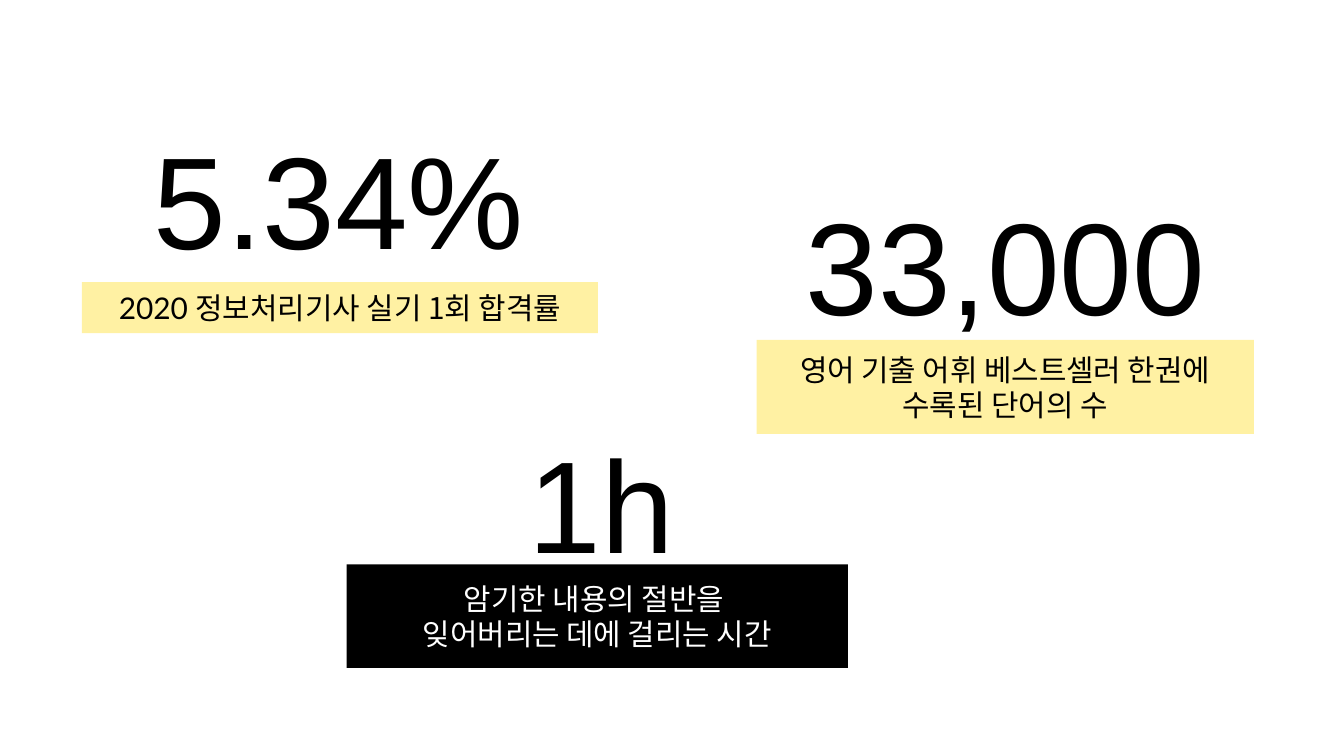
from lxml.etree import SubElement
from pptx import Presentation
from pptx.dml.color import RGBColor
from pptx.enum.shapes import MSO_SHAPE as Shape
from pptx.enum.text import MSO_ANCHOR as Anchor, PP_ALIGN as Align
from pptx.oxml.ns import qn
from pptx.util import Inches, Pt

COLORS = {"ink": "000000", "paper": "FFFFFF", "highlight": "FFF1A3"}
LATIN, DIGITS, KOREAN = "Arial", "Lato", "Noto Sans CJK KR"
FIGURE_SIZE, CAPTION_SIZE = 70, 16
FIGURE_HEIGHT = 1.06
FRAME = {"word_wrap": True, "vertical_anchor": Anchor.MIDDLE}
FRAME.update({f"margin_{side}": Inches(0.1) for side in ("left", "top", "right", "bottom")})

# Each caption line is a list of (text, font) pieces.
STATISTICS = [
    {"figure": "5.34%", "figure_at": (0.78, 0.94, 3.48),
     "caption": [[("2020 ", DIGITS), ("정보처리기사 실기 1회 합격률", KOREAN)]],
     "caption_at": (0.61, 2.1, 3.84, 0.38), "fill": "highlight", "text": "ink"},
    {"figure": "33,000", "figure_at": (5.74, 1.43, 3.48),
     "caption": [[("영어 기출 어휘 베스트셀러 한권에 수록된 단어의 수", KOREAN)]],
     "caption_at": (5.63, 2.53, 3.7, 0.7), "fill": "highlight", "text": "ink"},
    {"figure": "1h", "figure_at": (3.26, 3.2, 2.43),
     "caption": [[("암기한 내용의 절반을 ", KOREAN)], [("잊어버리는 데에 걸리는 시간", KOREAN)]],
     "caption_at": (2.58, 4.2, 3.73, 0.77), "fill": "ink", "text": "paper"},
]


def write_centred(frame, lines, size, color):
    for name, value in FRAME.items():
        setattr(frame, name, value)
    for number, pieces in enumerate(lines):
        paragraph = frame.add_paragraph() if number else frame.paragraphs[0]
        paragraph.alignment = Align.CENTER
        for text, typeface in pieces:
            run = paragraph.add_run()
            run.text = text
            run.font.name = typeface
            run.font.size = Pt(size)
            run.font.color.rgb = RGBColor.from_string(COLORS[color])
            SubElement(run.font._element, qn("a:ea"), typeface=typeface)


deck = Presentation()
deck.slide_width = Inches(10)
deck.slide_height = deck.slide_width * 9 // 16
slide = deck.slides.add_slide(deck.slide_layouts[6])

for stat in STATISTICS:
    figure = slide.shapes.add_textbox(*map(Inches, (*stat["figure_at"], FIGURE_HEIGHT)))
    write_centred(figure.text_frame, [[(stat["figure"], LATIN)]], FIGURE_SIZE, "ink")

    caption = slide.shapes.add_shape(Shape.RECTANGLE, *map(Inches, stat["caption_at"]))
    caption.shadow.inherit = False
    caption.fill.solid()
    caption.fill.fore_color.rgb = RGBColor.from_string(COLORS[stat["fill"]])
    caption.line.fill.background()
    write_centred(caption.text_frame, stat["caption"], CAPTION_SIZE, stat["text"])

deck.save("out.pptx")
